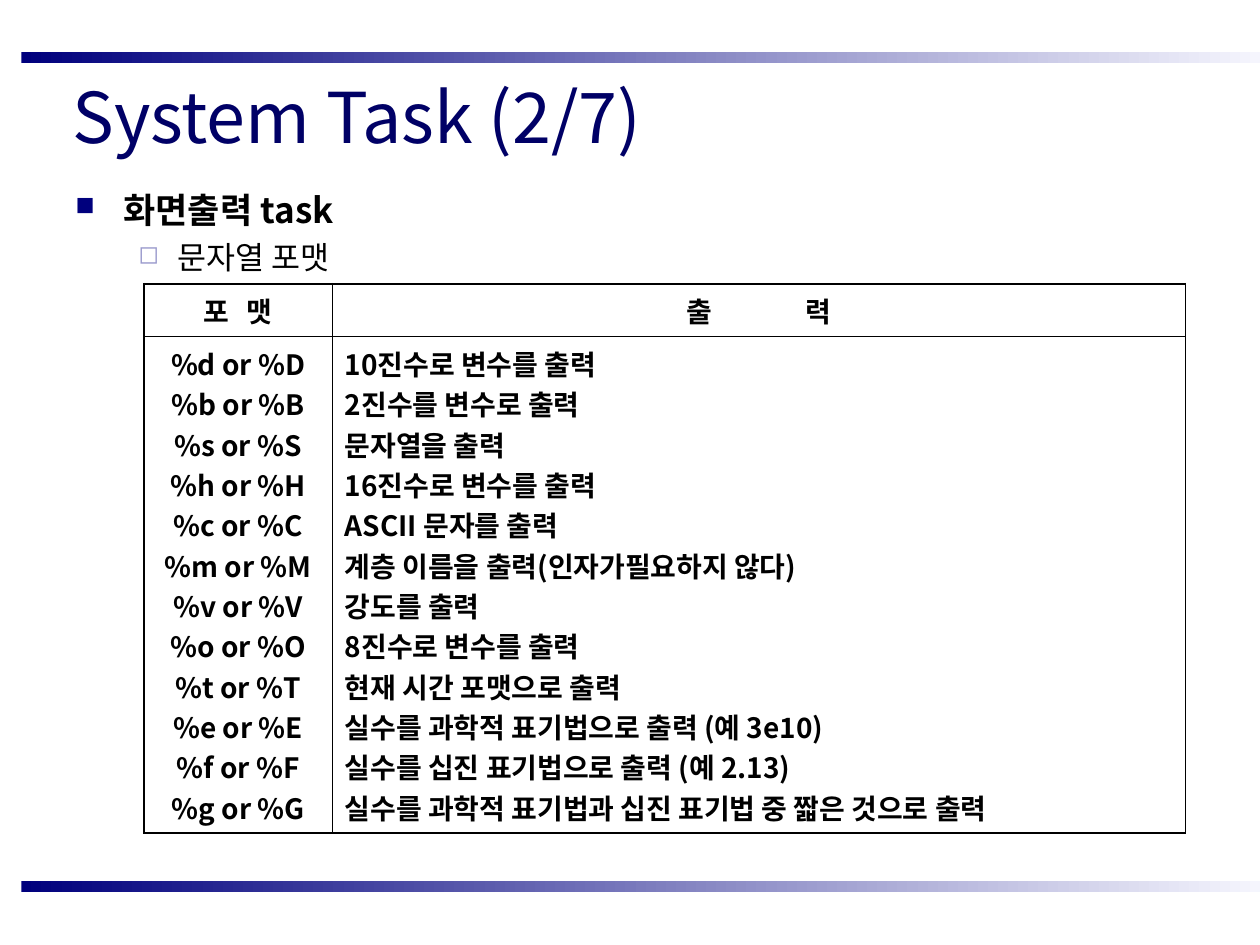
from lxml.etree import SubElement
from pptx import Presentation
from pptx.dml.color import RGBColor as Rgb
from pptx.enum.shapes import MSO_SHAPE as Shape
from pptx.enum.text import MSO_ANCHOR as Anchor, PP_ALIGN as Align
from pptx.oxml import parse_xml
from pptx.oxml.ns import nsdecls, qn
from pptx.util import Cm, Pt

FONT = "Noto Sans CJK KR"
COLORS = {
    "title": "000066", "text": "000000", "paper": "FFFFFF",
    "bar_start": "00007D", "bar_end": "F5F5FD",
    "bullet": "00007D", "sub_bullet": "9999CC",
}
TITLE = "System Task (2/7)"
OUTLINE = [
    {"text": "화면출력 task", "size": 20, "bold": True, "before": 5, "margin": 0.97,
     "hang": 0.97, "mark": "■", "mark_color": "bullet", "mark_scale": 75},
    {"text": "문자열 포맷", "size": 18, "bold": False, "before": 4.5, "margin": 2.06,
     "hang": 0.79, "mark": "◻", "mark_color": "sub_bullet", "mark_scale": 80},
]
HEADERS = [("포", "맷", 3), ("출", "력", 25)]
FORMATS = [
    ("d", "10진수로 변수를 출력"),
    ("b", "2진수를 변수로 출력"),
    ("s", "문자열을 출력"),
    ("h", "16진수로 변수를 출력"),
    ("c", "ASCII 문자를 출력"),
    ("m", "계층 이름을 출력(인자가필요하지 않다)"),
    ("v", "강도를 출력"),
    ("o", "8진수로 변수를 출력"),
    ("t", "현재 시간 포맷으로 출력"),
    ("e", "실수를 과학적 표기법으로 출력 (예 3e10)"),
    ("f", "실수를 십진 표기법으로 출력 (예 2.13)"),
    ("g", "실수를 과학적 표기법과 십진 표기법 중 짧은 것으로 출력"),
]
BAR_TOPS = [1.05, 17.76]
COLUMN_WIDTHS = [3.8, 17.2]
ROW_HEIGHTS = [1.07, 10]
OUTER, INNER = 1.08, 0.45


def style(paragraph, size, color="text", bold=False):
    font = paragraph.font
    font.size, font.bold, font.name = Pt(size), bold, FONT
    font.color.rgb = Rgb.from_string(COLORS[color])
    SubElement(font._element, qn("a:ea")).set("typeface", FONT)


def add_bar(slide, top):
    bar = slide.shapes.add_shape(Shape.RECTANGLE, Cm(0.43), Cm(top), Cm(24.97), Cm(0.22))
    bar.shadow.inherit = False
    bar.line.fill.background()
    bar.fill.gradient()
    bar.fill.gradient_angle = 0
    for stop, color in zip(bar.fill.gradient_stops, ("bar_start", "bar_end")):
        stop.color.rgb = Rgb.from_string(COLORS[color])


def add_text_frame(slide, left, top, width, height):
    frame = slide.shapes.add_textbox(Cm(left), Cm(top), Cm(width), Cm(height)).text_frame
    frame.word_wrap = True
    return frame


def paragraphs(frame, count):
    return [frame.paragraphs[0]] + [frame.add_paragraph() for _ in range(count - 1)]


def add_bullet(paragraph, item):
    paragraph.space_before = Pt(item["before"])
    properties = paragraph._p.get_or_add_pPr()
    properties.set("marL", str(Cm(item["margin"])))
    properties.set("indent", str(-Cm(item["hang"])))
    ns = nsdecls("a")
    for xml in (
        f'<a:buClr {ns}><a:srgbClr val="{COLORS[item["mark_color"]]}"/></a:buClr>',
        f'<a:buSzPct {ns} val="{item["mark_scale"] * 1000}"/>',
        f'<a:buChar {ns} char="{item["mark"]}"/>',
    ):
        paragraph.font._element.addprevious(parse_xml(xml))


def set_borders(cell, row, column):
    edges = {"lnL": column == 0, "lnR": column == 1, "lnT": row == 0, "lnB": row == 1}
    for edge, is_outer in edges.items():
        width = Pt(OUTER if is_outer else INNER)
        cell._tc.get_or_add_tcPr().append(parse_xml(
            f'<a:{edge} {nsdecls("a")} w="{width}"><a:solidFill>'
            f'<a:srgbClr val="{COLORS["text"]}"/></a:solidFill></a:{edge}>'))


def fill_cell(cell, lines, align):
    for paragraph, line in zip(paragraphs(cell.text_frame, len(lines)), lines):
        paragraph.text = line
        paragraph.alignment = align
        style(paragraph, 16, bold=True)


def fill_header(cell, first, last, spacing):
    paragraph = cell.text_frame.paragraphs[0]
    paragraph.alignment = Align.CENTER
    style(paragraph, 16, bold=True)
    spaced = paragraph.add_run()
    spaced.text = first + " "
    spaced._r.get_or_add_rPr().set("spc", str(spacing * 100))
    paragraph.add_run().text = last


def add_format_table(slide):
    table = slide.shapes.add_table(2, 2, Cm(2.9), Cm(5.72), Cm(sum(COLUMN_WIDTHS)),
                                   Cm(sum(ROW_HEIGHTS))).table
    table.first_row = table.horz_banding = False
    for column, width in zip(table.columns, COLUMN_WIDTHS):
        column.width = Cm(width)
    for row, height in zip(table.rows, ROW_HEIGHTS):
        row.height = Cm(height)
    for column, header in enumerate(HEADERS):
        fill_header(table.cell(0, column), *header)
    codes = [f"%{letter} or %{letter.upper()}" for letter, _ in FORMATS]
    fill_cell(table.cell(1, 0), codes, Align.CENTER)
    fill_cell(table.cell(1, 1), [meaning for _, meaning in FORMATS], Align.LEFT)
    for row in range(2):
        for column in range(2):
            cell = table.cell(row, column)
            cell.vertical_anchor = Anchor.MIDDLE
            set_borders(cell, row, column)
            cell.fill.solid()
            cell.fill.fore_color.rgb = Rgb.from_string(COLORS["paper"])


def main():
    deck = Presentation()
    deck.slide_width, deck.slide_height = Cm(25.4), Cm(19.05)
    slide = deck.slides.add_slide(deck.slide_layouts[6])
    for top in BAR_TOPS:
        add_bar(slide, top)

    title = add_text_frame(slide, 1.21, 1.24, 23.34, 2.18)
    title.vertical_anchor = Anchor.MIDDLE
    title.text = TITLE
    style(title.paragraphs[0], 40, "title")

    outline = add_text_frame(slide, 1.27, 3.67, 22.86, 13.77)
    for level, (paragraph, item) in enumerate(zip(paragraphs(outline, len(OUTLINE)), OUTLINE)):
        paragraph.text = item["text"]
        paragraph.level = level
        style(paragraph, item["size"], bold=item["bold"])
        add_bullet(paragraph, item)

    add_format_table(slide)
    deck.save("out.pptx")


if __name__ == "__main__":
    main()
